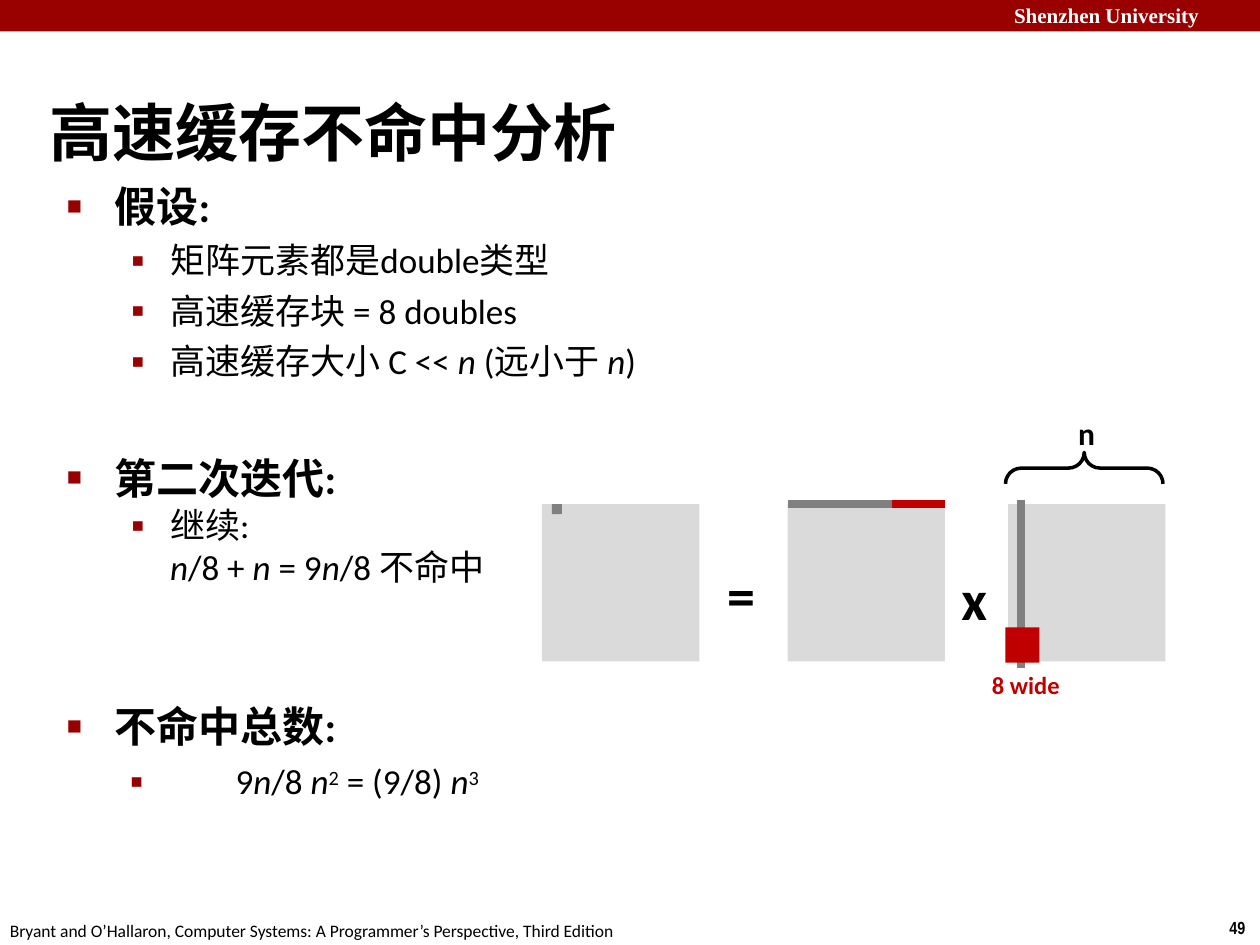
from lxml import etree
from pptx import Presentation
from pptx import util as u
from pptx.dml.color import RGBColor
from pptx.enum import shapes, text
from pptx.oxml import ns

Inches = u.Inches
COLORS = {"maroon": "990000", "red": "C00000", "black": "000000",
          "white": "FFFFFF", "gray": "808080", "pale": "DADADA"}

deck = Presentation()
deck.slide_width, deck.slide_height = Inches(10), Inches(7.5)
page = deck.slides.add_slide(deck.slide_layouts[6])


def add_block(place, color, kind=shapes.MSO_SHAPE.RECTANGLE):
    block = page.shapes.add_shape(kind, *map(Inches, place))
    block.shadow.inherit = False
    block.fill.solid()
    block.fill.fore_color.rgb = RGBColor.from_string(COLORS[color])
    block.line.fill.background()
    return block


def add_text(place, lines, inset=(0, 0, 0, 0), wrap=True, anchor=text.MSO_ANCHOR.TOP):
    box = page.shapes.add_textbox(*map(Inches, place))
    frame = box.text_frame
    frame.word_wrap, frame.vertical_anchor = wrap, anchor
    for side, gap in zip(("left", "top", "right", "bottom"), inset):
        setattr(frame, "margin_" + side, Inches(gap))
    for index, (words, look) in enumerate(lines):
        para = frame.add_paragraph() if index else frame.paragraphs[0]
        props = para._p.get_or_add_pPr()
        if "margin" in look:
            props.set("marL", str(Inches(look["margin"])))
            props.set("indent", str(Inches(look.get("indent", 0))))
        if "bullet" in look:
            mark, percent = look["bullet"]
            tint = etree.SubElement(props, ns.qn("a:buClr"))
            etree.SubElement(tint, ns.qn("a:srgbClr"), val=COLORS["maroon"])
            etree.SubElement(props, ns.qn("a:buSzPct"), val=str(percent * 1000))
            etree.SubElement(props, ns.qn("a:buFont"), typeface="Arial")
            etree.SubElement(props, ns.qn("a:buChar"), char=mark)
        for name, value in look.get("para", {}).items():
            setattr(para, name, value)
        for part in words.split("|"):
            if part == "\v":
                para.add_line_break()
                continue
            span = para.add_run()
            span.text = part.lstrip("_^")
            values = {"name": look.get("font", "Calibri"), "size": u.Pt(look["size"]),
                      "bold": look.get("bold", False), "italic": part.startswith("_")}
            for name, value in values.items():
                setattr(span.font, name, value)
            span.font.color.rgb = RGBColor.from_string(COLORS[look.get("color", "black")])
            if part.startswith("^"):
                span._r.get_or_add_rPr().set("baseline", "26000")


right = text.PP_ALIGN.RIGHT
heading = {"size": 24, "bold": True, "margin": 0.39, "indent": -0.38, "bullet": ("■", 60)}
tight_heading = {**heading, "para": {"line_spacing": u.Pt(28.8)}}
spaced_heading = {**heading, "para": {"space_before": u.Pt(0.5)}}
item = {"size": 20, "margin": 0.83, "indent": -0.31, "bullet": ("▪", 110),
        "para": {"level": 1, "space_before": u.Pt(4.8)}}
step = {"size": 20, "margin": 0.33, "indent": -0.31, "bullet": ("▪", 110)}
total = {"size": 20, "margin": 1.35, "indent": -0.84, "bullet": ("▪", 110),
         "para": {"space_before": u.Pt(5)}}
width_label = {"size": 18, "bold": True, "para": {
    "alignment": right, "line_spacing": u.Pt(21.6), "space_before": u.Pt(18.6)}}
block_label = {"size": 14, "bold": True, "color": "red", "para": {"alignment": right}}
sign = {"size": 32, "bold": True}
margins = (0.1, 0.05, 0.1, 0.05)

add_block((0, 0, 10, 0.25), "maroon")
add_text((7.95, -0.03, 2.12, 0.3), [("Shenzhen University", {
    "size": 12, "bold": True, "font": "Times New Roman", "color": "white"})], margins)
add_text((9.66, 7.23, 0.34, 0.27), [("49", {
    "size": 10, "bold": True, "font": "Arial Narrow"})], margins, False)
add_text((-0.02, 7.25, 5.09, 0.27), [(
    "Bryant and O’Hallaron, Computer Systems: A Programmer’s Perspective, Third Edition",
    {"size": 10})], margins, False)
add_text((0.39, 0.43, 8.3, 0.92), [("高速缓存不命中分析", {"size": 36, "bold": True})],
         (0, 0.31, 0, 0), anchor=text.MSO_ANCHOR.MIDDLE)

add_text((0.52, 1.43, 8.17, 2.61), [
    ("假设:", heading),
    ("矩阵元素都是double类型", item),
    ("高速缓存块 = 8 doubles", item),
    ("高速缓存大小 C << |_n |(远小于 |_n|)", item),
    ("n", width_label),
    ("第二次迭代:", tight_heading)])
add_text((1.02, 4, 2.9, 0.67), [
    ("继续:", step),
    ("_n|/8 + |_n |= 9|_n|/8 不命中", {"size": 20, "margin": 0.33})])

side = 1.25
for left in (4.3, 6.25, 8):
    add_block((left, 4, side, side), "pale")
add_block((4.38, 4, 0.08, 0.08), "gray")

for color, start, end in (("gray", (6.25, 4), (7.5, 4)),
                          ("red", (7.08, 4), (7.5, 4)),
                          ("gray", (8.1, 3.97), (8.1, 5.3))):
    strip = page.shapes.add_connector(shapes.MSO_CONNECTOR.STRAIGHT, *map(Inches, start + end))
    strip.line.width = u.Pt(4.5)
    strip.line.color.rgb = RGBColor.from_string(COLORS[color])
    etree.SubElement(strip._element.spPr, ns.qn("a:effectLst"))
add_block((7.98, 4.98, 0.27, 0.28), "red")

brace = add_block((8.48, 3.09, 0.25, side), "white", shapes.MSO_SHAPE.LEFT_BRACE)
brace.rotation = 90
brace.adjustments[0] = 0.5
brace.fill.background()
brace.line.width = u.Pt(2)
brace.line.color.rgb = RGBColor.from_string(COLORS["black"])

add_text((0.52, 5.32, 7.89, 1.09), [
    ("8 wide", block_label),
    ("不命中总数:", spaced_heading),
    ("9|_n|/8 |_n|^2| = (9/8) |_n|^3", total)])
add_text((7.63, 4.48, 0.23, 0.47), [("x", sign)])
add_text((5.77, 4.45, 0.25, 0.47), [("=", sign)])

deck.save("out.pptx")
